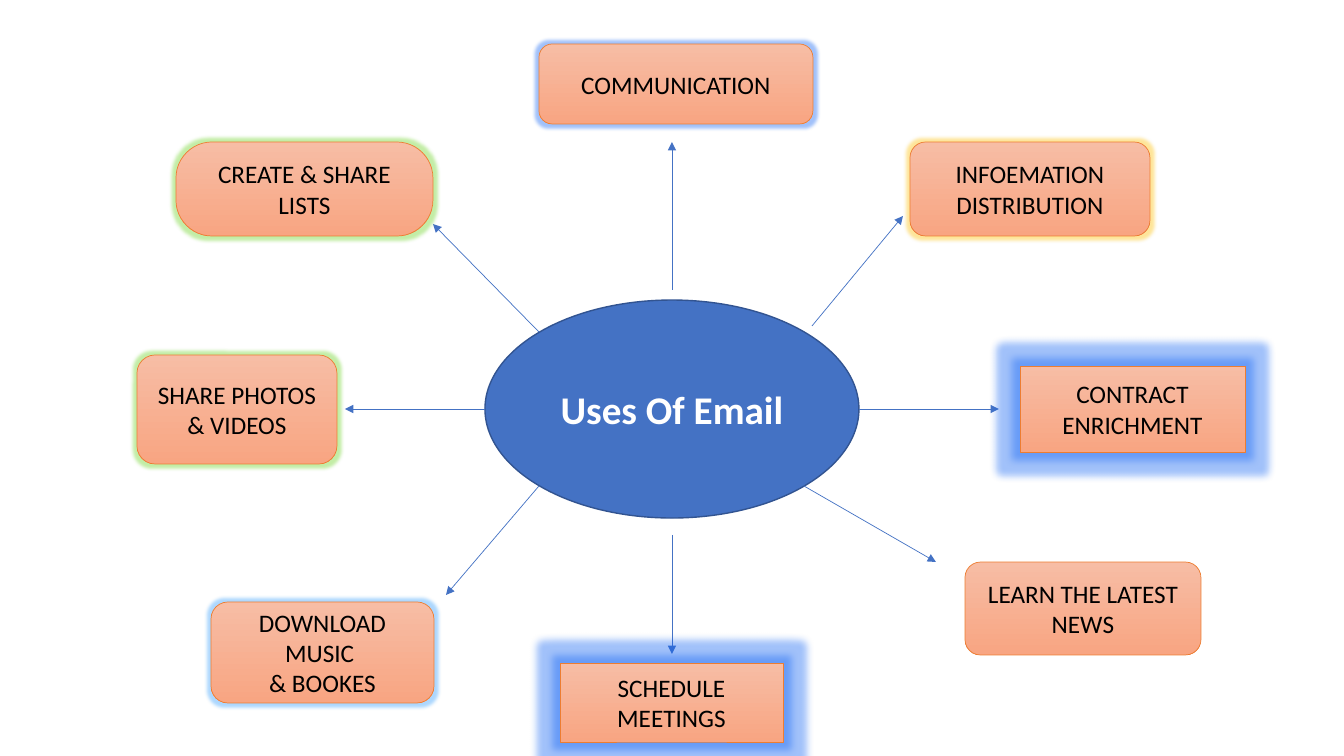
from lxml import etree
from pptx import Presentation
from pptx.dml.color import RGBColor
from pptx.enum.shapes import MSO_CONNECTOR, MSO_SHAPE
from pptx.enum.text import MSO_ANCHOR, PP_ALIGN
from pptx.oxml.ns import qn
from pptx.util import Pt

STRAIGHT = MSO_CONNECTOR.STRAIGHT
OVAL, RECT, ROUND = MSO_SHAPE.OVAL, MSO_SHAPE.RECTANGLE, MSO_SHAPE.ROUNDED_RECTANGLE
MIDDLE, CENTER = MSO_ANCHOR.MIDDLE, PP_ALIGN.CENTER

SCALE = 914400 / 100.8
FONT = "Calibri"
BLUE, NAVY, ORANGE = "4472C4", "325491", "ED7D31"
PEACH = ("F7BDA5", "F8A582")
GLOW_BLUE, GLOW_SKY, GLOW_GREEN, GLOW_GOLD = "1465F4", "319DFF", "69D321", "FFC000"

HUB = (485, 300, 374, 218)
SPOKES = [
    ((-187, 0), (-327, 0)),
    ((-133, 77), (-226, 186)),
    ((0, 126), (0, 245)),
    ((132, 77), (264, 153)),
    ((187, 0), (327, 0)),
    ((140, -83), (231, -193)),
    ((-133, -77), (-239, -185)),
    ((0, -119), (0, -267)),
]
TOPICS = [
    ("COMMUNICATION", (539, 44, 274, 80), ROUND, 0.167, GLOW_BLUE, 5),
    ("CREATE & SHARE LISTS", (176, 142, 257, 94), ROUND, 0.384, GLOW_GREEN, 5),
    ("SHARE PHOTOS & VIDEOS", (137, 355, 200, 109), ROUND, 0.167, GLOW_GREEN, 5),
    ("DOWNLOAD MUSIC \n& BOOKES", (211, 602, 223, 101), ROUND, 0.167, GLOW_SKY, 5),
    ("INFOEMATION DISTRIBUTION", (910, 142, 240, 94), ROUND, 0.167, GLOW_GOLD, 5),
    ("CONTRACT ENRICHMENT", (1020, 366, 225, 86), RECT, None, GLOW_BLUE, 11),
    ("SCHEDULE MEETINGS", (560, 663, 223, 79), RECT, None, GLOW_BLUE, 11),
    ("LEARN THE LATEST NEWS", (965, 562, 236, 93), ROUND, 0.167, None, 0),
]


def px(n):
    """Turn px into EMU."""
    return round(n * SCALE)


def rgb(color):
    """Turn a hex string into a colour."""
    return RGBColor.from_string(color)


def add_box(slide, kind, box, line, width):
    """Add an outlined shape without a shadow."""
    sp = slide.shapes.add_shape(kind, *map(px, box))
    sp.shadow.inherit = False
    sp.line.color.rgb = rgb(line)
    sp.line.width = Pt(width)
    return sp


def write(sp, text, size, color, bold=False):
    """Write centred text into a shape, breaking lines at newlines."""
    tf = sp.text_frame
    tf.word_wrap = True
    tf.vertical_anchor = MIDDLE
    p = tf.paragraphs[0]
    p.alignment = CENTER
    for i, words in enumerate(text.split("\n")):
        if i:
            p.add_line_break()
        r = p.add_run()
        r.text = words
        r.font.name, r.font.size, r.font.bold = FONT, Pt(size), bold
        r.font.color.rgb = rgb(color)


def add_glow(sp, color, radius):
    """Put a soft coloured glow around a shape."""
    effects = sp._element.spPr.find(qn("a:effectLst"))
    glow = etree.SubElement(effects, qn("a:glow"), rad=str(Pt(radius)))
    clr = etree.SubElement(glow, qn("a:srgbClr"), val=color)
    etree.SubElement(clr, qn("a:alpha"), val="40000")


def add_arrow(slide, start, end):
    """Add a thin arrow from start to end."""
    cxn = slide.shapes.add_connector(STRAIGHT, *map(px, start + end))
    cxn.line.color.rgb = rgb(BLUE)
    cxn.line.width = Pt(0.5)
    etree.SubElement(cxn.line._get_or_add_ln(), qn("a:tailEnd"), type="triangle")
    etree.SubElement(cxn._element.spPr, qn("a:effectLst"))


def add_hub(slide, box):
    """Draw the central ellipse and the arrows around its centre."""
    left, top, width, height = box
    cx, cy = left + width // 2, top + height // 2
    sp = add_box(slide, OVAL, box, NAVY, 1)
    sp.fill.solid()
    sp.fill.fore_color.rgb = rgb(BLUE)
    write(sp, "Uses Of Email", 28, "FFFFFF", True)
    for (x1, y1), (x2, y2) in SPOKES:
        add_arrow(slide, (cx + x1, cy + y1), (cx + x2, cy + y2))


def add_topic(slide, text, box, kind, corner, glow, radius):
    """Draw one use of email in its box."""
    sp = add_box(slide, kind, box, ORANGE, 0.5)
    if corner:
        sp.adjustments[0] = corner
    sp.fill.gradient()
    sp.fill.gradient_angle = 270
    for stop, color in zip(sp.fill.gradient_stops, PEACH):
        stop.color.rgb = rgb(color)
    if glow:
        add_glow(sp, glow, radius)
    write(sp, text, 18, "000000")


def main():
    """Build and save the slide."""
    prs = Presentation()
    prs.slide_width, prs.slide_height = px(1344), px(756)
    slide = prs.slides.add_slide(prs.slide_layouts[6])
    add_hub(slide, HUB)
    for topic in TOPICS:
        add_topic(slide, *topic)
    prs.save("out.pptx")


if __name__ == "__main__":
    main()
